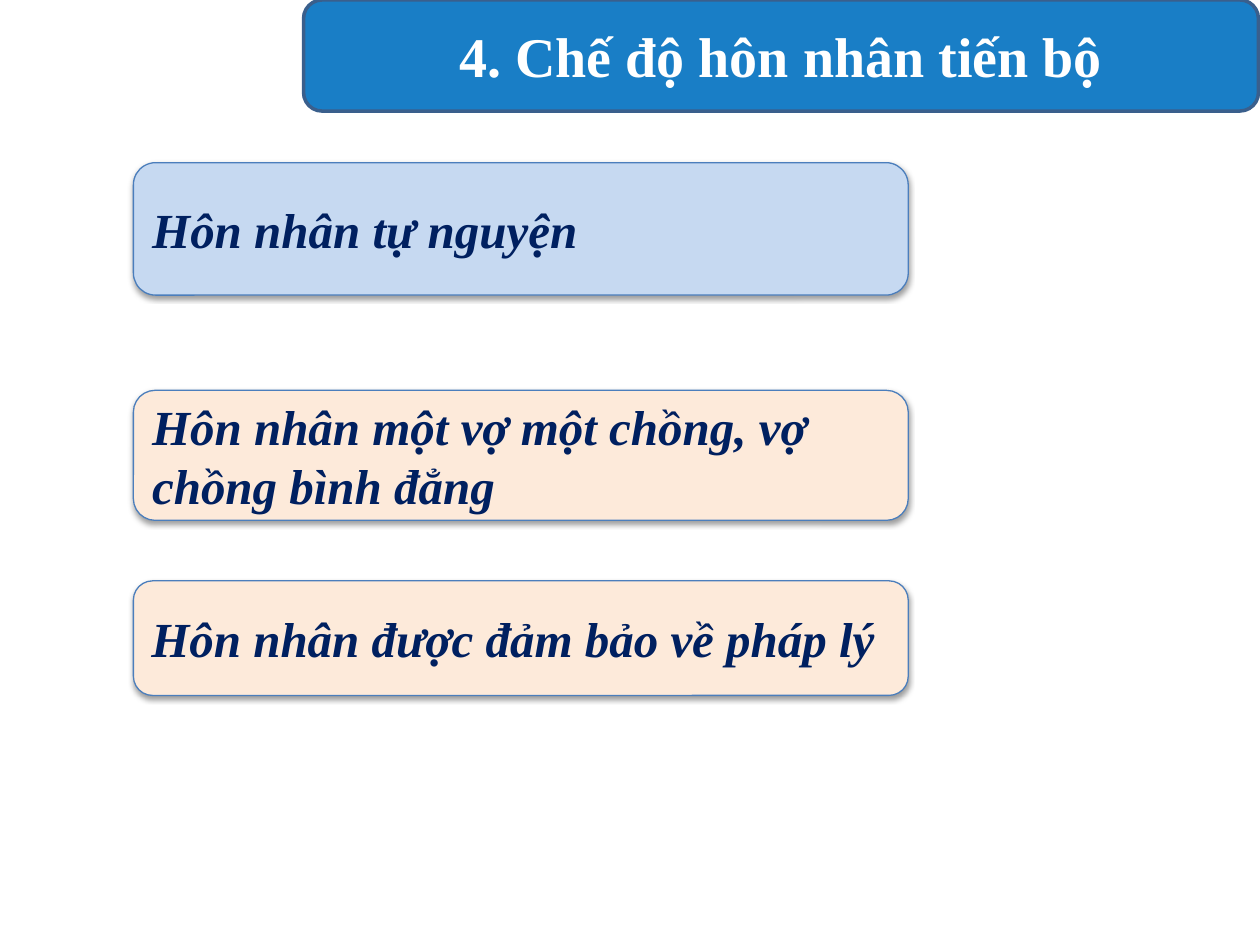
"""Builds a slide on the progressive marriage system: a title banner and three principles."""
from dataclasses import dataclass

from lxml.etree import SubElement
from pptx import Presentation
from pptx.dml.color import RGBColor as Color
from pptx.enum.shapes import MSO_SHAPE as Shape
from pptx.enum.text import MSO_ANCHOR as Anchor, PP_ALIGN as Align
from pptx.oxml.ns import qn
from pptx.util import Cm, Pt


@dataclass(frozen=True)
class Theme:
    font: str = "Times New Roman"
    banner_fill: str = "0070C0"
    banner_line: str = "3A5F8C"
    banner_text: str = "FFFFFF"
    banner_size: int = 32
    banner_opacity: int = 90
    first_fill: str = "C6D9F1"
    other_fill: str = "FDEADA"
    principle_line: str = "4B7EBC"
    principle_text: str = "002060"
    principle_size: int = 28
    shadow: str = "000000"
    shadow_opacity: int = 38


THEME = Theme()

PRINCIPLES = [
    ("Hôn nhân tự nguyện", 3.28, 2.67, THEME.first_fill),
    ("Hôn nhân một vợ một chồng, vợ chồng bình đẳng", 7.87, 2.62, THEME.other_fill),
    ("Hôn nhân được đảm bảo về pháp lý", 11.71, 2.31, THEME.other_fill),
]


def set_opacity(color_element, percent):
    SubElement(color_element, qn("a:alpha"), val=str(percent * 1000))


def add_shadow(shape):
    effects = shape._element.spPr.find(qn("a:effectLst"))
    shadow = SubElement(effects, qn("a:outerShdw"), blurRad=str(Pt(3.1)),
                        dist=str(Pt(1.6)), dir="5400000", rotWithShape="0")
    set_opacity(SubElement(shadow, qn("a:srgbClr"), val=THEME.shadow), THEME.shadow_opacity)


def add_rounded_box(slide, left, top, width, height, fill, line, line_width):
    shape = slide.shapes.add_shape(
        Shape.ROUNDED_RECTANGLE, Cm(left), Cm(top), Cm(width), Cm(height))
    shape.shadow.inherit = False
    shape.fill.solid()
    shape.fill.fore_color.rgb = Color.from_string(fill)
    shape.line.color.rgb = Color.from_string(line)
    shape.line.width = Pt(line_width)
    return shape


def write_text(shape, text, size, color, align, italic=False):
    frame = shape.text_frame
    frame.word_wrap = True
    frame.vertical_anchor = Anchor.MIDDLE
    paragraph = frame.paragraphs[0]
    paragraph.text = text
    paragraph.alignment = align
    font = paragraph.font
    font.name = THEME.font
    font.size = Pt(size)
    font.bold = True
    font.italic = italic
    font.color.rgb = Color.from_string(color)


def add_banner(slide, text):
    banner = add_rounded_box(slide, 6.12, 0, 19.25, 2.24,
                             THEME.banner_fill, THEME.banner_line, 2)
    fill_color = banner._element.spPr.find(f"{qn('a:solidFill')}/{qn('a:srgbClr')}")
    set_opacity(fill_color, THEME.banner_opacity)
    write_text(banner, text, THEME.banner_size, THEME.banner_text, Align.CENTER)


def add_principle(slide, text, top, height, fill):
    box = add_rounded_box(slide, 2.69, top, 15.62, height,
                          fill, THEME.principle_line, 0.75)
    add_shadow(box)
    write_text(box, text, THEME.principle_size, THEME.principle_text, Align.LEFT, italic=True)


def main():
    presentation = Presentation()
    presentation.slide_width = Cm(25.4)
    presentation.slide_height = Cm(19.05)
    slide = presentation.slides.add_slide(presentation.slide_layouts[6])
    add_banner(slide, "4. Chế độ hôn nhân tiến bộ")
    for principle in PRINCIPLES:
        add_principle(slide, *principle)
    presentation.save("out.pptx")


if __name__ == "__main__":
    main()
